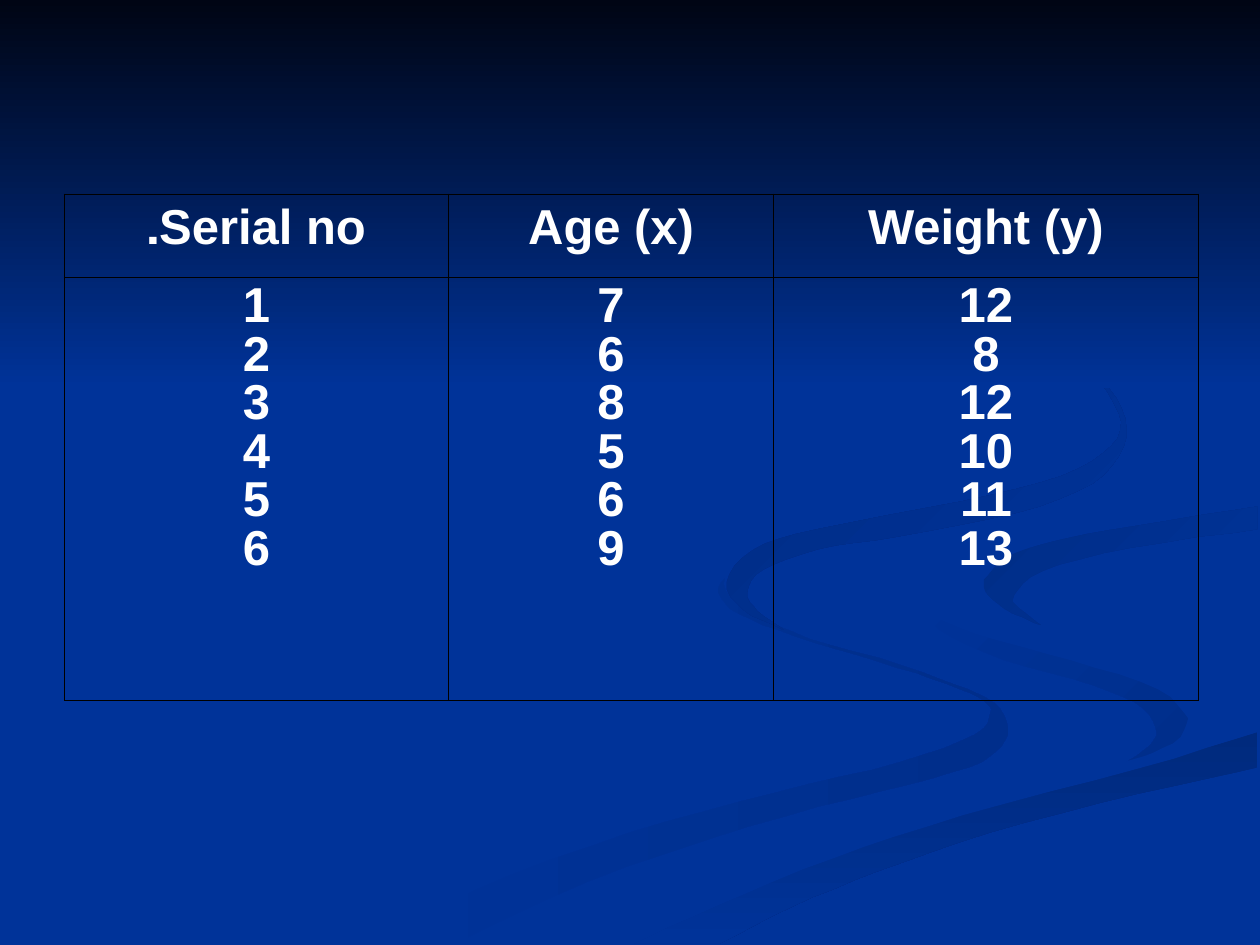
from lxml.etree import SubElement
from pptx import Presentation
from pptx.dml.color import RGBColor
from pptx.enum.text import PP_ALIGN
from pptx.oxml.ns import qn
from pptx.util import Inches, Pt

WHITE = RGBColor(0xFF, 0xFF, 0xFF)
BLACK = RGBColor(0x00, 0x00, 0x00)
BLUE = RGBColor(0x00, 0x33, 0x99)
NIGHT = RGBColor(0x00, 0x05, 0x14)
SHADE_LIGHT = RGBColor(0x00, 0x2E, 0x8B)
SHADE_MEDIUM = RGBColor(0x00, 0x2D, 0x86)
SHADE_DEEP = RGBColor(0x00, 0x2B, 0x82)
SHADE_DARK = RGBColor(0x00, 0x2A, 0x7D)
ACROSS, DIAGONAL, DOWN = 0, 45, 90  # clockwise gradient angles
CURVE_STEPS = 4

presentation = Presentation()
presentation.slide_width, presentation.slide_height = Inches(10), Inches(7.5)
UNIT = presentation.slide_width // 1000  # the slide is a grid of 1000 by 750

slide = presentation.slides.add_slide(presentation.slide_layouts[6])
slide.background.fill.solid()
slide.background.fill.fore_color.rgb = BLUE


def smooth(knots):
    """Return points on a Catmull-Rom curve that passes through the knots."""
    padded = [knots[0], *knots, knots[-1]]
    points = [knots[0]]
    for before, start, end, after in zip(padded, padded[1:], padded[2:], padded[3:]):
        for step in range(1, CURVE_STEPS + 1):
            t = step / CURVE_STEPS
            points.append(tuple(
                (2 * b + (c - a) * t + (2 * a - 5 * b + 4 * c - d) * t ** 2
                 + (3 * b - a - 3 * c + d) * t ** 3) / 2
                for a, b, c, d in zip(before, start, end, after)))
    return points


def write(cell, text, size=28, color=WHITE, bold=True, font_name="Arial",
          line_spacing=1.0, right_to_left=False):
    """Fill a table cell with centred text, one paragraph per line."""
    cell.text = text
    for paragraph in cell.text_frame.paragraphs:
        paragraph.alignment = PP_ALIGN.CENTER
        paragraph.line_spacing = line_spacing
        if right_to_left:
            paragraph._p.get_or_add_pPr().set("rtl", "1")
        font = paragraph.runs[0].font
        font.name, font.size, font.bold = font_name, Pt(size), bold
        font.color.rgb = color


# A ribbon is a ring of curved edges that meet in sharp corners.
# The plain ribbon fills the space between three others and shares their crests.
right_crest = [(724, 464), (733, 483), (774, 503), (850, 524), (919, 547), (943, 570)]
bottom_crest = [(503, 749), (569, 719), (662, 681), (764, 647), (903, 610), (998, 581)]
side_crest = [(781, 460), (799, 442), (835, 430), (898, 418), (998, 402)]

lower_left_ribbon = [
    [(575, 459), (570, 470), (586, 487), (631, 505), (697, 525), (752, 543), (781, 556),
     (786, 566), (774, 583), (714, 605), (616, 629), (499, 661), (376, 707), (300, 749)],
    [(361, 749), (466, 700), (594, 656), (699, 628), (769, 609), (795, 592), (799, 573),
     (781, 553), (715, 528), (642, 507), (594, 485), (576, 469), (575, 459)],
]
right_ribbon = [
    right_crest,
    [(943, 570), (937, 586), (916, 597), (894, 605)],
    [(894, 605), (911, 593), (918, 581), (907, 562), (868, 544), (797, 524), (746, 500),
     (727, 479), (724, 464)],
]
bottom_ribbon = [
    bottom_crest,
    [(998, 609), (903, 630), (785, 661), (695, 692), (630, 719), (571, 749)],
]
plain_ribbon = [
    right_crest,
    [(943, 570), (931, 590), (881, 608), (780, 634), (663, 668), (573, 703), (477, 749)],
    bottom_crest,
    [(999, 538), (904, 519), (832, 498), (794, 480), (781, 460)],
    side_crest,
    [(999, 387), (920, 401), (808, 417), (742, 439), (724, 464)],
]
side_ribbon = [
    side_crest,
    [(998, 420), (896, 435), (828, 453), (805, 472), (809, 483), (826, 496)],
    [(826, 496), (797, 483), (782, 469), (781, 460)],
]
upper_ribbon = [
    [(762, 233), (821, 261), (864, 291), (890, 324), (892, 354), (867, 384), (807, 407),
     (712, 426), (649, 436), (606, 452), (593, 470), (601, 485), (622, 500)],
    [(622, 500), (590, 484), (577, 462), (597, 437), (649, 420), (763, 398), (842, 378),
     (882, 354), (888, 328), (862, 292), (805, 254), (762, 233)],
]
night_sky = [[(0, 0), (1000, 0)], [(1000, 308), (0, 308)]]

for edges, first_color, last_color, angle in (
        (lower_left_ribbon, BLUE, SHADE_LIGHT, ACROSS),
        (right_ribbon, BLUE, SHADE_LIGHT, DIAGONAL),
        (bottom_ribbon, SHADE_DARK, BLUE, DOWN),
        (plain_ribbon, BLUE, BLUE, ACROSS),
        (side_ribbon, SHADE_MEDIUM, BLUE, DIAGONAL),
        (upper_ribbon, SHADE_DEEP, BLUE, DIAGONAL),
        (night_sky, NIGHT, BLUE, DOWN)):
    outline = [point for edge in edges for point in smooth(edge)]
    builder = slide.shapes.build_freeform(*outline[0], scale=UNIT)
    builder.add_line_segments(outline[1:], close=True)
    backdrop = builder.convert_to_shape()
    backdrop.shadow.inherit = False
    backdrop.line.fill.background()
    if first_color == last_color:
        backdrop.fill.solid()
        backdrop.fill.fore_color.rgb = first_color
    else:
        backdrop.fill.gradient()
        backdrop.fill.gradient_angle = (360 - angle) % 360
        for stop, color in zip(backdrop.fill.gradient_stops, (first_color, last_color)):
            stop.color.rgb = color

# Table of age and weight
measurements = {
    "Serial no.": (1, 2, 3, 4, 5, 6),
    "Age (x)": (7, 6, 8, 5, 6, 9),
    "Weight (y)": (12, 8, 12, 10, 11, 13),
}
column_widths = (305, 258, 337)
row_heights = (66, 336)

table = slide.shapes.add_table(
    len(row_heights), len(column_widths), 51 * UNIT, 154 * UNIT,
    sum(column_widths) * UNIT, sum(row_heights) * UNIT).table
table.first_row = table.horz_banding = False
for row, height in zip(table.rows, row_heights):
    row.height = height * UNIT
for column, width in zip(table.columns, column_widths):
    column.width = width * UNIT

for index, (heading, values) in enumerate(measurements.items()):
    write(table.cell(0, index), heading, right_to_left=True)
    write(table.cell(1, index), "\n".join(map(str, values)), line_spacing=0.89)

for cell in table.iter_cells():
    properties = cell._tc.get_or_add_tcPr()
    for side in ("a:lnL", "a:lnR", "a:lnT", "a:lnB"):
        border = SubElement(properties, qn(side), w=str(Pt(0.45)))
        border_fill = SubElement(border, qn("a:solidFill"))
        SubElement(border_fill, qn("a:srgbClr"), val=str(BLACK))
    cell.fill.background()

presentation.save("out.pptx")
